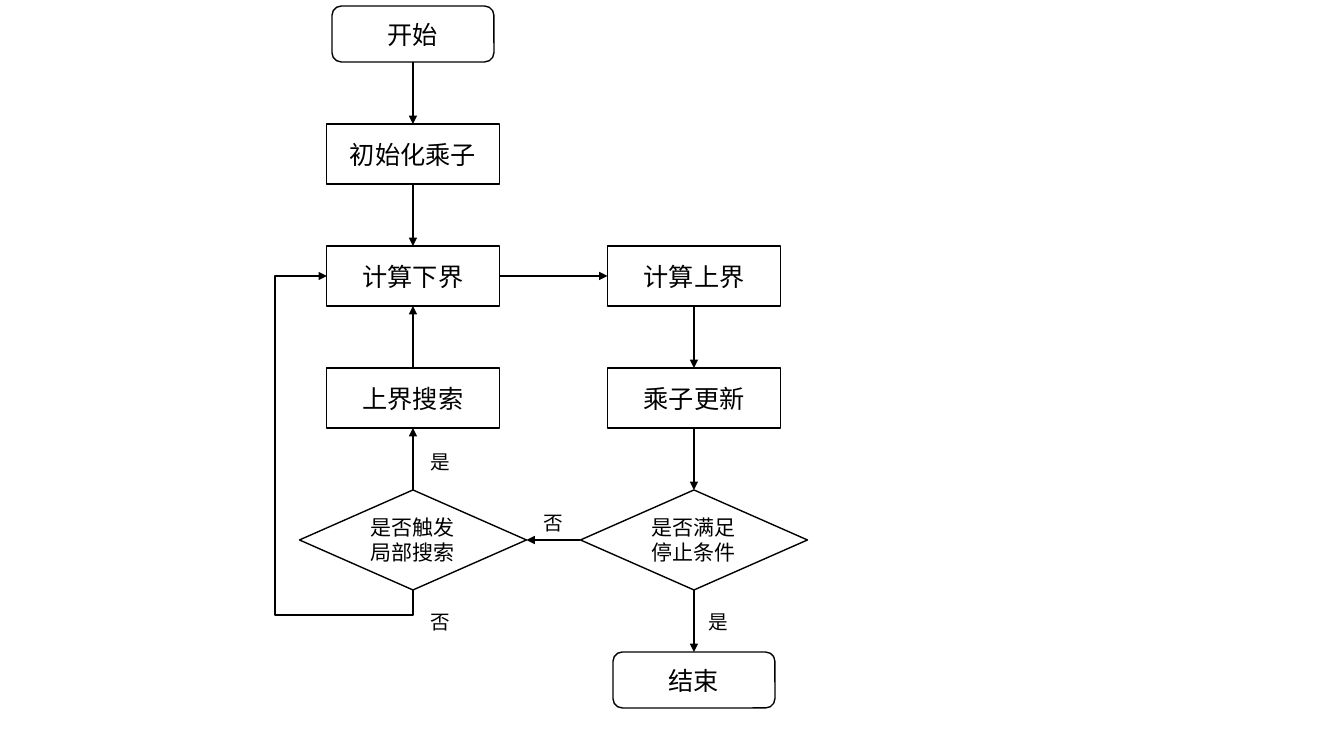
from lxml import etree
from pptx import Presentation
from pptx.dml.color import RGBColor
from pptx.enum.shapes import MSO_CONNECTOR, MSO_SHAPE
from pptx.enum.text import MSO_ANCHOR, MSO_AUTO_SIZE, PP_ALIGN
from pptx.oxml.ns import qn
from pptx.util import Pt

RECTANGLE = MSO_SHAPE.RECTANGLE
ROUNDED = MSO_SHAPE.ROUNDED_RECTANGLE
DIAMOND = MSO_SHAPE.DIAMOND
STRAIGHT = MSO_CONNECTOR.STRAIGHT
ELBOW = MSO_CONNECTOR.ELBOW
LEFT_ALIGN, CENTER = PP_ALIGN.LEFT, PP_ALIGN.CENTER
MIDDLE = MSO_ANCHOR.MIDDLE
FIT_SHAPE = MSO_AUTO_SIZE.SHAPE_TO_FIT_TEXT

EMU_PER_PX = 914400 / 100.8
SLIDE_WIDTH, SLIDE_HEIGHT = 1344, 756
COLORS = {"ink": "000000", "paper": "FFFFFF"}
FONT = "Noto Sans CJK SC"

# Connection sites shared by rectangles and diamonds
TOP, LEFT, BOTTOM, RIGHT = range(4)

LEFT_COLUMN, RIGHT_COLUMN = 413, 694
ROW_STEP = 122
START_ROW, DECISION_ROW, END_ROW = 34, 540, 680
INIT_ROW, BOUND_ROW, UPDATE_ROW = (154 + ROW_STEP * i for i in range(3))

# Node kind: preset shape, width, height, text size
KINDS = {
    "terminal": (ROUNDED, 162, 56, 18),
    "process": (RECTANGLE, 173, 60, 18),
    "decision": (DIAMOND, 227, 100, 15),
}
NODES = {
    "start": ("terminal", LEFT_COLUMN, START_ROW, "开始"),
    "init": ("process", LEFT_COLUMN, INIT_ROW, "初始化乘子"),
    "lower": ("process", LEFT_COLUMN, BOUND_ROW, "计算下界"),
    "upper": ("process", RIGHT_COLUMN, BOUND_ROW, "计算上界"),
    "search": ("process", LEFT_COLUMN, UPDATE_ROW, "上界搜索"),
    "update": ("process", RIGHT_COLUMN, UPDATE_ROW, "乘子更新"),
    "stop": ("decision", RIGHT_COLUMN, DECISION_ROW, "是否满足停止条件"),
    "trigger": ("decision", LEFT_COLUMN, DECISION_ROW, "是否触发局部搜索"),
    "end": ("terminal", RIGHT_COLUMN, END_ROW, "结束"),
}
ARROWS = [
    ("start", BOTTOM, "init", TOP),
    ("init", BOTTOM, "lower", TOP),
    ("lower", RIGHT, "upper", LEFT),
    ("upper", BOTTOM, "update", TOP),
    ("update", BOTTOM, "stop", TOP),
    ("stop", BOTTOM, "end", TOP),
    ("stop", LEFT, "trigger", RIGHT),
    ("trigger", TOP, "search", BOTTOM),
    ("search", TOP, "lower", BOTTOM),
]
LABELS = [("是", 421, 445), ("否", 421, 605), ("是", 699, 605), ("否", 534, 506)]
LABEL_WIDTH, LABEL_HEIGHT = 37, 34


def px(length):
    return round(length * EMU_PER_PX)


def color(name):
    return RGBColor.from_string(COLORS[name])


def write_text(frame, text, size, align=LEFT_ALIGN):
    frame.word_wrap = True
    paragraph = frame.paragraphs[0]
    paragraph.alignment = align
    run = paragraph.add_run()
    run.text = text
    run.font.size = Pt(size)
    run.font.name = FONT
    run.font.color.rgb = color("ink")
    east_asian = etree.SubElement(run.font._element, qn("a:ea"))
    east_asian.set("typeface", FONT)


class Flowchart:
    def __init__(self, slide, line_width=1):
        self.slide = slide
        self.line_width = Pt(line_width)

    def outline(self, line):
        line.width = self.line_width
        line.color.rgb = color("ink")

    def node(self, kind, center_x, center_y, text):
        preset, width, height, size = KINDS[kind]
        shape = self.slide.shapes.add_shape(
            preset, px(center_x - width / 2), px(center_y - height / 2),
            px(width), px(height))
        shape.shadow.inherit = False
        shape.fill.solid()
        shape.fill.fore_color.rgb = color("paper")
        self.outline(shape.line)
        shape.text_frame.vertical_anchor = MIDDLE
        write_text(shape.text_frame, text, size, align=CENTER)
        return shape

    def connector(self, kind, begin=(0, 0), end=(0, 0)):
        connector = self.slide.shapes.add_connector(
            kind, *(px(value) for value in (*begin, *end)))
        self.outline(connector.line)
        properties = connector._element.spPr
        tail = etree.SubElement(properties.find(qn("a:ln")), qn("a:tailEnd"))
        tail.set("type", "triangle")
        etree.SubElement(properties, qn("a:effectLst"))
        return connector

    def arrow(self, source, source_site, target, target_site):
        connector = self.connector(STRAIGHT)
        connector.begin_connect(source, source_site)
        connector.end_connect(target, target_site)

    def return_arrow(self, begin, end, drop, lane_x):
        """Go down by drop, left to lane_x, up, then right to end.

        The elbow is laid out sideways and turned by a quarter.
        """
        (x1, y1), (x2, y2) = begin, end
        middle_x, middle_y = (x1 + x2) / 2, (y1 + y2) / 2
        half_length, half_depth = (y1 - y2) / 2, (x1 - x2) / 2
        connector = self.connector(
            ELBOW,
            (middle_x + half_length, middle_y - half_depth),
            (middle_x - half_length, middle_y + half_depth))
        properties = connector._element.spPr
        properties.find(qn("a:xfrm")).set("rot", str(90 * 60000))
        geometry = properties.find(qn("a:prstGeom"))
        geometry.set("prst", "bentConnector4")
        guides = geometry.find(qn("a:avLst"))
        bends = (-drop / (y1 - y2), (x1 - lane_x) / (x1 - x2))
        for number, bend in enumerate(bends, start=1):
            guide = etree.SubElement(guides, qn("a:gd"))
            guide.set("name", f"adj{number}")
            guide.set("fmla", f"val {round(bend * 100000)}")

    def label(self, text, left, top):
        box = self.slide.shapes.add_textbox(
            px(left), px(top), px(LABEL_WIDTH), px(LABEL_HEIGHT))
        write_text(box.text_frame, text, 14)
        box.text_frame.auto_size = FIT_SHAPE


def main():
    presentation = Presentation()
    presentation.slide_width = px(SLIDE_WIDTH)
    presentation.slide_height = px(SLIDE_HEIGHT)
    slide = presentation.slides.add_slide(presentation.slide_layouts[6])
    chart = Flowchart(slide)

    nodes = {name: chart.node(*node) for name, node in NODES.items()}
    for source, source_site, target, target_site in ARROWS:
        chart.arrow(nodes[source], source_site, nodes[target], target_site)
    chart.return_arrow((LEFT_COLUMN, 590), (327, BOUND_ROW), drop=25, lane_x=275)
    for label in LABELS:
        chart.label(*label)

    presentation.save("out.pptx")


if __name__ == "__main__":
    main()
